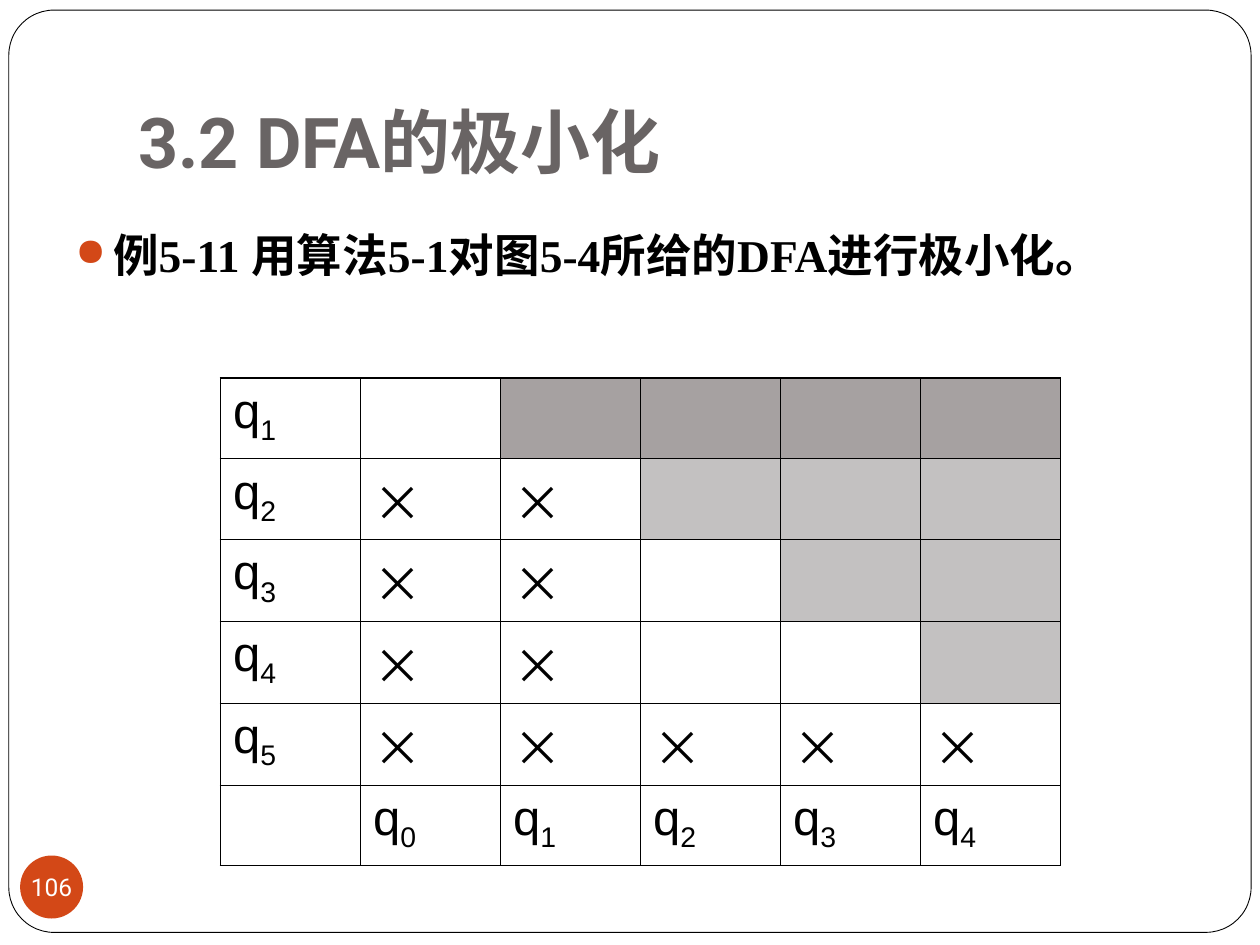
from lxml import etree
from pptx import Presentation
from pptx.dml.color import RGBColor
from pptx.enum.shapes import MSO_SHAPE
from pptx.enum.text import MSO_ANCHOR, PP_ALIGN
from pptx.oxml.ns import qn
from pptx.util import Inches, Pt

ROUNDED, OVAL = MSO_SHAPE.ROUNDED_RECTANGLE, MSO_SHAPE.OVAL
BOTTOM, MIDDLE = MSO_ANCHOR.BOTTOM, MSO_ANCHOR.MIDDLE
CENTER = PP_ALIGN.CENTER
WIDTH, HEIGHT = 10, 7.5
CJK = "Noto Sans CJK SC"
BLACK, WHITE, ORANGE, GREY = "000000", "FFFFFF", "D34817", "696464"
DARK_CELL, LIGHT_CELL = "A6A1A1", "C3C1C1"
THIN, THICK = 0.45, 1.08
STATES = 6
MARKED = {2: 2, 3: 2, 4: 2, 5: 5}


def color(value):
    """Turn a hex string into a colour."""
    return RGBColor.from_string(value)


def inches(box):
    """Turn a box in inches into slide lengths."""
    return [Inches(length) for length in box]


def add_xml(parent, tag, **attributes):
    """Append a DrawingML element to a parent."""
    element = etree.SubElement(parent, qn(tag))
    for name, value in attributes.items():
        element.set(name, str(value))
    return element


def style_font(paragraph, size, name, hex_color, bold=False):
    """Set the font of a whole paragraph, for Latin and Chinese text."""
    font = paragraph.font
    font.size, font.name, font.bold = Pt(size), name, bold
    font.color.rgb = color(hex_color)
    add_xml(font._element, "a:ea", typeface=CJK)


def add_preset(slide, preset, box, fill):
    """Add a flat preset shape with a plain fill."""
    shape = slide.shapes.add_shape(preset, *inches(box))
    shape.shadow.inherit = False
    shape.fill.solid()
    shape.fill.fore_color.rgb = color(fill)
    return shape


def add_frame(slide, box):
    """Add the rounded outline of the slide."""
    shape = add_preset(slide, ROUNDED, box, WHITE)
    shape.adjustments[0] = 0.049
    shape.line.color.rgb = color(BLACK)
    shape.line.width = Pt(0.5)


def add_text(slide, box, text):
    """Add a wrapping text box and return its frame and paragraph."""
    frame = slide.shapes.add_textbox(*inches(box)).text_frame
    frame.word_wrap = True
    paragraph = frame.paragraphs[0]
    paragraph.add_run().text = text
    return frame, paragraph


def add_title(slide, box):
    """Add the slide title at the bottom of its box."""
    frame, paragraph = add_text(slide, box, "3.2 DFA的极小化")
    frame.vertical_anchor = BOTTOM
    frame.margin_bottom = Inches(0.1)
    style_font(paragraph, 40, "Roboto", GREY, True)


def add_example(slide, box):
    """Add the bulleted example statement."""
    text = "例5-11 用算法5-1对图5-4所给的DFA进行极小化。"
    paragraph = add_text(slide, box, text)[1]
    properties = paragraph._p.get_or_add_pPr()
    indent = Inches(0.3)
    properties.set("marL", str(indent))
    properties.set("indent", str(-indent))
    bullet_color = add_xml(properties, "a:buClr")
    add_xml(bullet_color, "a:srgbClr", val=ORANGE)
    add_xml(properties, "a:buSzPct", val=85000)
    add_xml(properties, "a:buChar", char="●")
    style_font(paragraph, 26, "Times New Roman", BLACK, True)


def set_borders(cell, row, column):
    """Draw thin inner and thick outer borders around a cell."""
    last = STATES - 1
    outer = {"L": column == 0, "R": column == last, "T": row == 0, "B": row == last}
    for side, is_outer in outer.items():
        width = Pt(THICK if is_outer else THIN)
        line = add_xml(cell._tc.get_or_add_tcPr(), f"a:ln{side}", w=width)
        add_xml(add_xml(line, "a:solidFill"), "a:srgbClr", val=BLACK)


def write_state(cell, number):
    """Write a state name with its index as a subscript."""
    paragraph = cell.text_frame.paragraphs[0]
    paragraph.add_run().text = "q"
    index = paragraph.add_run()
    index.text = str(number)
    index.font._element.set("baseline", "-25000")
    style_font(paragraph, 28, "Arial", BLACK)


def write_mark(cell):
    """Mark a pair of distinguishable states."""
    paragraph = cell.text_frame.paragraphs[0]
    paragraph.add_run().text = "×"
    style_font(paragraph, 28, CJK, BLACK)


def add_state_table(slide, box):
    """Add the triangular table of state pairs."""
    table = slide.shapes.add_table(STATES, STATES, *inches(box)).table
    table.first_row = table.horz_banding = False
    for row in range(STATES):
        table.rows[row].height = Inches(0.65 if 2 <= row <= 4 else 0.64)
        for column in range(STATES):
            cell = table.cell(row, column)
            set_borders(cell, row, column)
            unused = row < STATES - 1 and column > row + 1
            shade = DARK_CELL if row == 0 else LIGHT_CELL
            cell.fill.solid()
            cell.fill.fore_color.rgb = color(shade if unused else WHITE)
            if column == 0 and row < STATES - 1:
                write_state(cell, row + 1)
            elif row == STATES - 1 and column > 0:
                write_state(cell, column - 1)
            elif 0 < column <= MARKED.get(row + 1, 0):
                write_mark(cell)


def add_page_number(slide, box):
    """Add the round page number badge."""
    shape = add_preset(slide, OVAL, box, ORANGE)
    shape.line.fill.background()
    frame = shape.text_frame
    frame.word_wrap = False
    frame.vertical_anchor = MIDDLE
    frame.margin_left = frame.margin_right = 0
    frame.margin_top = frame.margin_bottom = 0
    paragraph = frame.paragraphs[0]
    paragraph.add_run().text = "106"
    paragraph.alignment = CENTER
    style_font(paragraph, 14, "Roboto", WHITE)


def main():
    """Build and save the slide."""
    presentation = Presentation()
    presentation.slide_width = Inches(WIDTH)
    presentation.slide_height = Inches(HEIGHT)
    slide = presentation.slides.add_slide(presentation.slide_layouts[6])
    add_frame(slide, (0.07, 0.08, WIDTH - 0.14, HEIGHT - 0.18))
    add_title(slide, (WIDTH * 0.1, HEIGHT * 0.04, WIDTH * 0.85, HEIGHT / 6))
    add_example(slide, (WIDTH * 0.05, 1.75, WIDTH * 0.9, HEIGHT / 6))
    add_state_table(slide, (1.75, HEIGHT * 0.4, WIDTH * 2 / 3, 3.87))
    add_page_number(slide, (0.16, 6.79, WIDTH * 0.05, WIDTH * 0.05))
    presentation.save("out.pptx")


if __name__ == "__main__":
    main()
